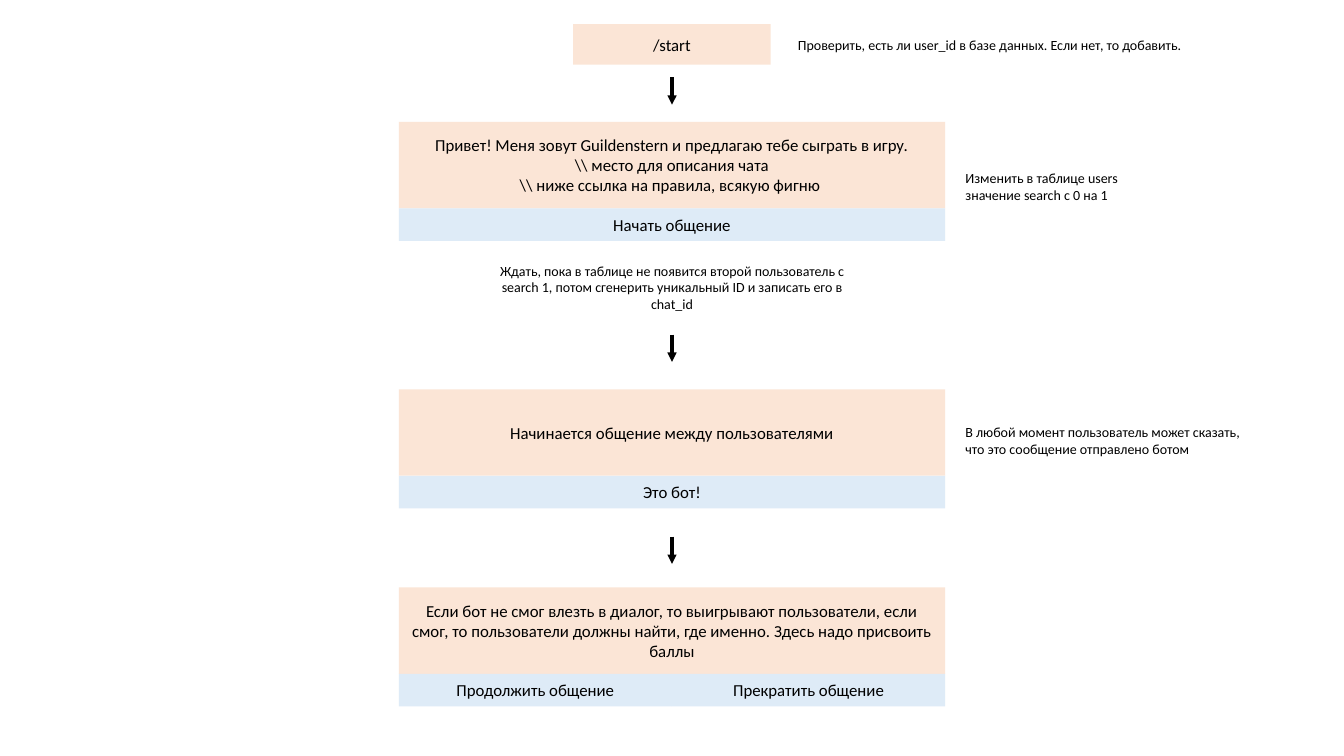
from lxml.etree import SubElement
from pptx import Presentation
from pptx.dml.color import RGBColor
from pptx.enum.shapes import MSO_CONNECTOR, MSO_SHAPE
from pptx.enum.text import MSO_ANCHOR, MSO_AUTO_SIZE, PP_ALIGN
from pptx.oxml.ns import qn
from pptx.util import Cm, Pt

# Lengths in centimetres
SLIDE_WIDTH, SLIDE_HEIGHT = 33.87, 19.05
CENTER = SLIDE_WIDTH / 2
CARD_WIDTH, MESSAGE_HEIGHT, BUTTON_HEIGHT = 13.77, 2.18, 0.82
CARD_LEFT = CENTER - CARD_WIDTH / 2
START_WIDTH, START_HEIGHT = 4.98, 1.02
ARROW_LENGTH = 0.69
SIDE_NOTE_LEFT = 24.08


def color(hex_code):
    return RGBColor.from_string(hex_code)


class FlowSlide:
    font = "Calibri"
    ink = "000000"
    message_fill = "FBE5D6"
    button_fill = "DEEBF7"
    box_size = 12
    note_size = 10

    def __init__(self, page):
        self.page = page

    def add_lines(self, frame, lines, size, align):
        frame.word_wrap = True
        for index, line in enumerate(lines):
            para = frame.paragraphs[0] if index == 0 else frame.add_paragraph()
            para.alignment = align
            span = para.add_run()
            span.text = line
            span.font.name = self.font
            span.font.size = Pt(size)
            span.font.color.rgb = color(self.ink)

    def box(self, left, top, width, height, fill, lines):
        box = self.page.shapes.add_shape(
            MSO_SHAPE.RECTANGLE, Cm(left), Cm(top), Cm(width), Cm(height))
        box.shadow.inherit = False
        box.fill.solid()
        box.fill.fore_color.rgb = color(fill)
        box.line.fill.background()
        box.text_frame.vertical_anchor = MSO_ANCHOR.MIDDLE
        self.add_lines(box.text_frame, lines, self.box_size, PP_ALIGN.CENTER)

    def card(self, top, message, buttons):
        """A message with a row of equal buttons under it."""
        self.box(CARD_LEFT, top, CARD_WIDTH, MESSAGE_HEIGHT,
                 self.message_fill, message)
        width = CARD_WIDTH / len(buttons)
        for index, label in enumerate(buttons):
            self.box(CARD_LEFT + index * width, top + MESSAGE_HEIGHT, width,
                     BUTTON_HEIGHT, self.button_fill, [label])

    def note(self, left, top, width, height, words, align=PP_ALIGN.LEFT):
        note = self.page.shapes.add_textbox(
            Cm(left), Cm(top), Cm(width), Cm(height))
        note.text_frame.auto_size = MSO_AUTO_SIZE.SHAPE_TO_FIT_TEXT
        self.add_lines(note.text_frame, [words], self.note_size, align)

    def arrow(self, top):
        arrow = self.page.shapes.add_connector(
            MSO_CONNECTOR.STRAIGHT, Cm(CENTER), Cm(top),
            Cm(CENTER), Cm(top + ARROW_LENGTH))
        arrow.line.color.rgb = color(self.ink)
        arrow.line.width = Pt(2.25)
        properties = arrow._element.spPr
        SubElement(properties.find(qn("a:ln")), qn("a:tailEnd"), type="triangle")
        SubElement(properties, qn("a:effectLst"))


def main():
    deck = Presentation()
    deck.slide_width, deck.slide_height = Cm(SLIDE_WIDTH), Cm(SLIDE_HEIGHT)
    flow = FlowSlide(deck.slides.add_slide(deck.slide_layouts[6]))

    # Start command
    flow.box(CENTER - START_WIDTH / 2, 0.61, START_WIDTH, START_HEIGHT,
             flow.message_fill, ["/start"])
    flow.note(19.86, 0.79, 11.2, 0.69,
              "Проверить, есть ли user_id в базе данных. Если нет, то добавить.")

    # Greeting and search for a partner
    flow.card(3.07, [
        "Привет! Меня зовут Guildenstern и предлагаю тебе сыграть в игру.",
        r"\\ место для описания чата",
        r"\\ ниже ссылка на правила, всякую фигню ",
    ], ["Начать общение"])
    flow.note(SIDE_NOTE_LEFT, 4.14, 4.42, 1.12,
              "Изменить в таблице users значение search с 0 на 1")
    flow.note(CENTER - 9.93 / 2, 6.48, 9.93, 1.55,
              "Ждать, пока в таблице не появится второй пользователь с search 1, "
              "потом сгенерить уникальный ID и записать его в chat_id",
              PP_ALIGN.CENTER)

    # Conversation
    flow.card(9.81, ["Начинается общение между пользователями"], ["Это бот!"])
    flow.note(SIDE_NOTE_LEFT, 10.54, 7.7, 1.12,
              "В любой момент пользователь может сказать, "
              "что это сообщение отправлено ботом")

    # Result
    flow.card(14.8, [
        "Если бот не смог влезть в диалог, то выигрывают пользователи, "
        "если смог, то пользователи должны найти, где именно. "
        "Здесь надо присвоить баллы",
    ], ["Продолжить общение", "Прекратить общение"])

    # Arrows between the steps
    for top in (1.95, 8.43, 13.52):
        flow.arrow(top)

    deck.save("out.pptx")


if __name__ == "__main__":
    main()
